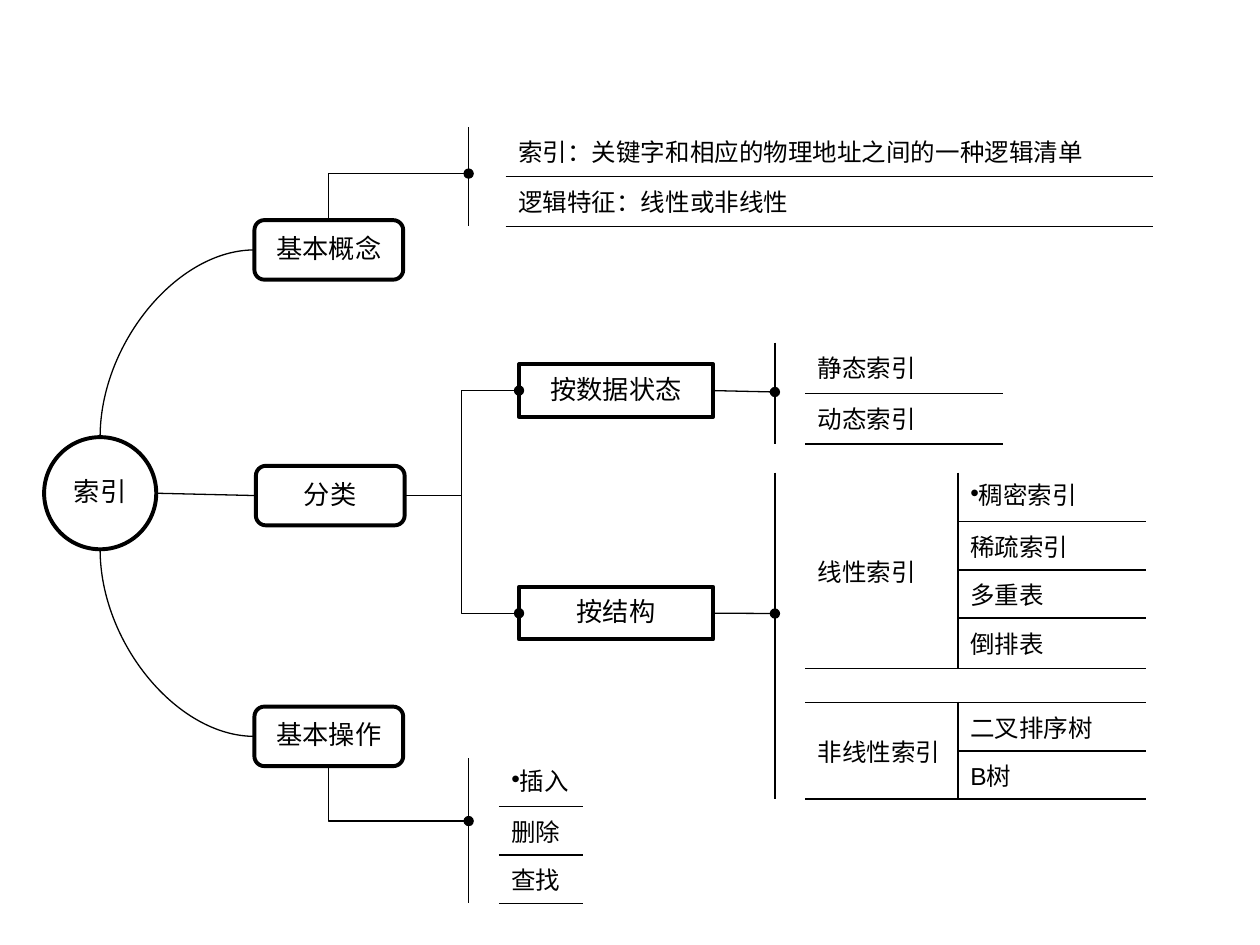
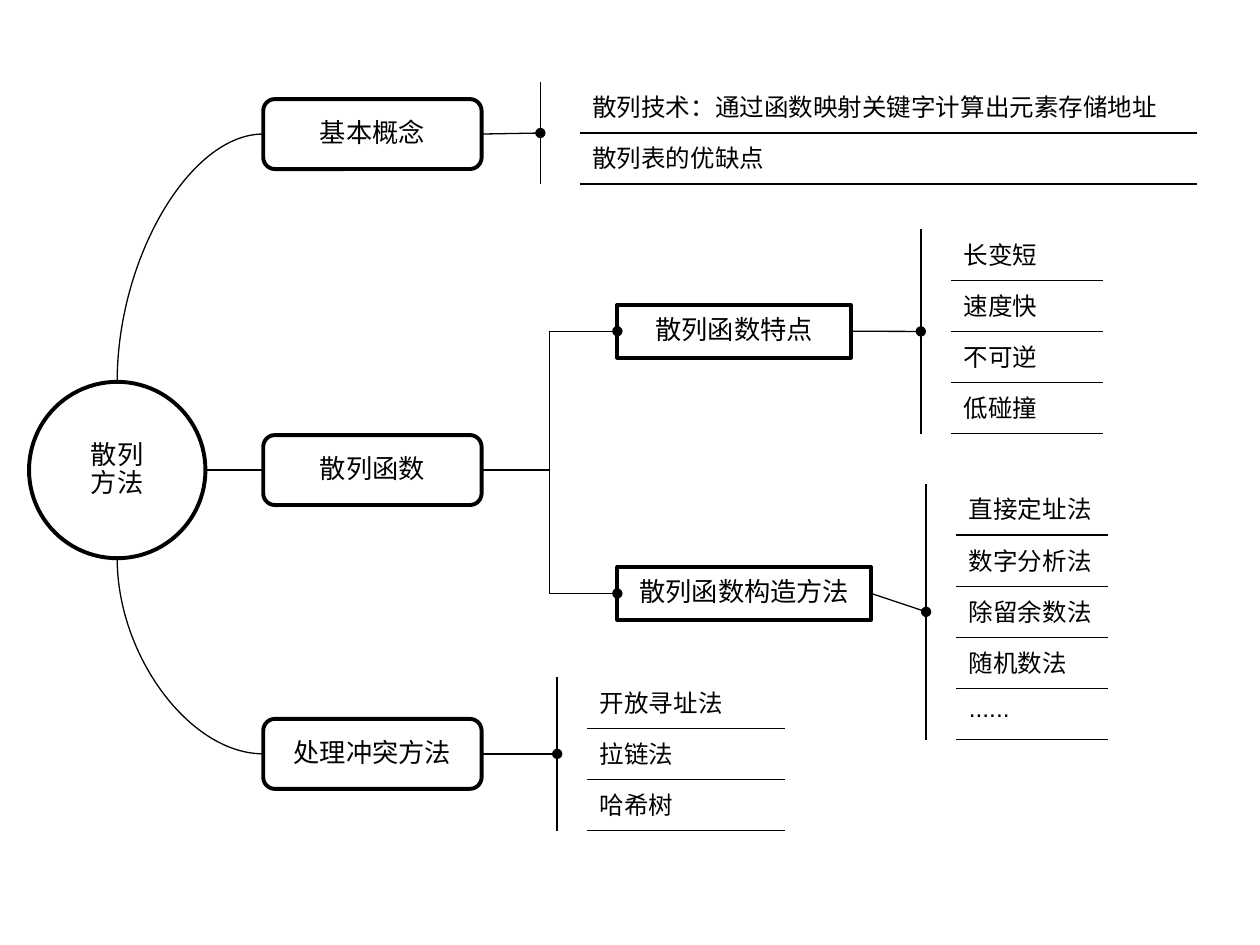
from dataclasses import dataclass
from enum import IntEnum
from typing import NamedTuple

from lxml.etree import SubElement
from pptx import Presentation
from pptx.dml.color import RGBColor
from pptx.enum.shapes import MSO_CONNECTOR, MSO_SHAPE
from pptx.enum.text import MSO_ANCHOR, PP_ALIGN
from pptx.oxml.ns import qn
from pptx.util import Pt


@dataclass(frozen=True)
class Theme:
    ink: str = "000000"
    paper: str = "FFFFFF"
    node_size: float = 15
    item_size: float = 14
    spacer_size: float = 10
    node_line: float = 2.25
    link_line: float = 0.75
    cell_line: float = 1
    east_asian_font: str = "Noto Sans CJK SC"
    item_font: str = "Arial"
    lead_font: str = "Noto Sans Mono"
    plain_table: str = "{2D5ABB26-0587-4C30-8999-92F81FD0307C}"


THEME = Theme()
INK = RGBColor.from_string(THEME.ink)
PAPER = RGBColor.from_string(THEME.paper)


class Side(IntEnum):
    TOP = 0
    LEFT = 1
    BOTTOM = 2
    RIGHT = 3


class Point(NamedTuple):
    x: float
    y: float


@dataclass(frozen=True)
class Node:
    text: str
    left: float
    top: float
    width: float
    height: float
    form: MSO_SHAPE = MSO_SHAPE.ROUNDED_RECTANGLE

    def anchor(self, side: Side) -> Point:
        x = self.left + self.width * {Side.LEFT: 0, Side.RIGHT: 1}.get(side, 0.5)
        y = self.top + self.height * {Side.TOP: 0, Side.BOTTOM: 1}.get(side, 0.5)
        return Point(x, y)

    def site(self, side: Side) -> int:
        return side * 2 if self.form == MSO_SHAPE.OVAL else int(side)


@dataclass(frozen=True)
class ItemList:
    left: float
    top: float
    gap: float
    width: float
    items: tuple
    row_height: float = 29.2
    font: str = THEME.item_font

    def middle(self) -> Point:
        return Point(self.left, self.top + self.row_height * len(self.items) / 2)


def write_text(frame, text: str, *, size: float, font: str,
               align=PP_ALIGN.LEFT, spacing: float = 1.0, bullet: bool = False) -> None:
    for index, line in enumerate(text.split("\n")):
        paragraph = frame.add_paragraph() if index else frame.paragraphs[0]
        paragraph.alignment = align
        paragraph.line_spacing = spacing
        if bullet:
            properties = paragraph._p.get_or_add_pPr()
            properties.set("marL", "0")
            properties.set("indent", "0")
            SubElement(properties, qn("a:buFont"), typeface=THEME.item_font)
            SubElement(properties, qn("a:buChar"), char="•")
        run = paragraph.add_run()
        run.text = line
        run.font.size = Pt(size)
        run.font.color.rgb = INK
        run.font.name = font
        SubElement(run._r.get_or_add_rPr(), qn("a:ea"), typeface=THEME.east_asian_font)


class Diagram:
    def __init__(self, slide) -> None:
        self.slide = slide
        self.drawn = {}

    def add_node(self, node: Node) -> None:
        shape = self.slide.shapes.add_shape(
            node.form, Pt(node.left), Pt(node.top), Pt(node.width), Pt(node.height))
        shape.shadow.inherit = False
        shape.fill.solid()
        shape.fill.fore_color.rgb = PAPER
        shape.line.color.rgb = INK
        shape.line.width = Pt(THEME.node_line)
        frame = shape.text_frame
        frame.word_wrap = True
        frame.vertical_anchor = MSO_ANCHOR.MIDDLE
        frame.margin_left = frame.margin_right = Pt(0)
        write_text(frame, node.text, size=THEME.node_size, font=THEME.east_asian_font,
                   align=PP_ALIGN.CENTER, spacing=0.9)
        self.drawn[node] = shape

    def add_link(self, start, end, *, kind=MSO_CONNECTOR.STRAIGHT,
                 corner: str = "", dot: str = "") -> None:
        first, last = (
            place if isinstance(place, Point) else place[0].anchor(place[1])
            for place in (start, end))
        connector = self.slide.shapes.add_connector(
            kind, Pt(first.x), Pt(first.y), Pt(last.x), Pt(last.y))
        connector.line.color.rgb = INK
        connector.line.width = Pt(THEME.link_line)
        properties = connector._element.spPr
        if corner:
            properties.find(qn("a:prstGeom")).set("prst", corner)
        if dot:
            SubElement(properties.find(qn("a:ln")), qn(f"a:{dot}"), type="oval")
        SubElement(properties, qn("a:effectLst"))
        for place, attach in ((start, connector._connect_begin_to),
                              (end, connector._connect_end_to)):
            if not isinstance(place, Point):
                node, side = place
                attach(self.drawn[node], node.site(side))

    def add_curve(self, node: Node, hub: Node, side: Side) -> None:
        self.add_link((node, Side.LEFT), (hub, side),
                      kind=MSO_CONNECTOR.CURVE, corner="curvedConnector2")

    def add_corner(self, dot: Point, node: Node, side: Side) -> None:
        self.add_link(dot, (node, side), kind=MSO_CONNECTOR.ELBOW,
                      corner="bentConnector2", dot="headEnd")

    def add_fork(self, node: Node, children: tuple) -> None:
        for child in children:
            self.add_link((node, Side.RIGHT), (child, Side.LEFT),
                          kind=MSO_CONNECTOR.ELBOW, dot="tailEnd")

    def add_pointer(self, node: Node, dot: Point) -> None:
        self.add_link((node, Side.RIGHT), dot, dot="tailEnd")

    def add_grid(self, left: float, top: float, columns: tuple, rows: tuple):
        frame = self.slide.shapes.add_table(
            len(rows), len(columns), Pt(left), Pt(top), Pt(sum(columns)), Pt(sum(rows)))
        table = frame.table
        table.first_row = table.horz_banding = False
        table._tbl.tblPr.find(qn("a:tableStyleId")).text = THEME.plain_table
        for column, width in zip(table.columns, columns):
            column.width = Pt(width)
        for row, height in zip(table.rows, rows):
            row.height = Pt(height)
        return table

    def add_list(self, outline: ItemList) -> None:
        table = self.add_grid(outline.left, outline.top, (outline.gap, outline.width),
                              (outline.row_height,) * len(outline.items))
        for row, item in enumerate(outline.items):
            format_cell(table.cell(row, 0), edges="L")
            format_cell(table.cell(row, 1), item, edges="TB" if row else "B",
                        font=outline.font)


def format_cell(cell, text: str = "", *, edges: str = "",
                font: str = THEME.item_font) -> None:
    properties = cell._tc.get_or_add_tcPr()
    for edge in edges:
        line = SubElement(properties, qn(f"a:ln{edge}"), w=str(Pt(THEME.cell_line)))
        fill = SubElement(line, qn("a:solidFill"))
        SubElement(fill, qn("a:srgbClr"), val=THEME.ink)
    cell.fill.background()
    if text:
        bullet = text.startswith("•")
        write_text(cell.text_frame, text.lstrip("•"), size=THEME.item_size,
                   font=THEME.lead_font if bullet else font,
                   spacing=0.9 if bullet else 1.0, bullet=bullet)
    else:
        SubElement(cell.text_frame.paragraphs[0]._p, qn("a:endParaRPr"),
                   sz=str(int(THEME.spacer_size * 100)))


def add_structure_table(diagram: Diagram, left: float, top: float) -> None:
    groups = {0: ("线性索引", ("•稠密索引", "稀疏索引", "多重表", "倒排表")),
              5: ("非线性索引", ("二叉排序树", "B树"))}
    spacer = 4
    table = diagram.add_grid(left, top, (17, 87.3, 107.3),
                             (28, 27.6, 27.6, 28.8, 19.2, 27.6, 27.6))
    format_cell(table.cell(spacer, 0), edges="L")
    for column in (1, 2):
        format_cell(table.cell(spacer, column), edges="TB")
    for first, (name, kinds) in groups.items():
        last = first + len(kinds) - 1
        for column in (0, 1):
            table.cell(first, column).merge(table.cell(last, column))
        for row, kind in enumerate(kinds, first):
            format_cell(table.cell(row, 0), edges="L")
            format_cell(table.cell(row, 1), name if row == first else "",
                        edges="RTB" if row == first and first else "RB" if row in (first, last) else "R",
                        font=THEME.lead_font)
            format_cell(table.cell(row, 2), kind, edges="LTB" if row else "LB")
        table.cell(first, 1).vertical_anchor = MSO_ANCHOR.MIDDLE


def build_index_slide(slide) -> None:
    diagram = Diagram(slide)
    hub = Node("索引", 25.2, 249.8, 64.1, 64.1, MSO_SHAPE.OVAL)
    kinds = Node("分类", 146.2, 266.2, 85, 34)
    concept = Node("基本概念", 145.4, 125.8, 85, 34)
    operation = Node("基本操作", 145.4, 403.8, 85, 34)
    by_state = Node("按数据状态", 296.6, 208.2, 111, 30, MSO_SHAPE.RECTANGLE)
    by_structure = Node("按结构", 296.6, 335.4, 111, 30, MSO_SHAPE.RECTANGLE)
    for node in (hub, kinds, concept, operation, by_state, by_structure):
        diagram.add_node(node)

    diagram.add_list(ItemList(267.8, 72.6, 21.2, 370, (
        "索引：关键字和相应的物理地址之间的一种逻辑清单", "逻辑特征：线性或非线性"), 28.4))
    diagram.add_list(ItemList(442.8, 195.8, 17, 113, ("静态索引", "动态索引"), 29,
                              THEME.lead_font))
    diagram.add_list(ItemList(267.8, 433.4, 17, 48, ("•插入", "删除", "查找"), 27.6))
    add_structure_table(diagram, 442.8, 270)

    diagram.add_link((hub, Side.RIGHT), (kinds, Side.LEFT))
    diagram.add_curve(concept, hub, Side.TOP)
    diagram.add_curve(operation, hub, Side.BOTTOM)
    diagram.add_corner(Point(267.8, 99.2), concept, Side.TOP)
    diagram.add_corner(Point(267.8, 469.2), operation, Side.BOTTOM)
    diagram.add_fork(kinds, (by_state, by_structure))
    diagram.add_pointer(by_state, Point(442.8, 224))
    diagram.add_pointer(by_structure, Point(442.8, 350.6))


def build_hash_slide(slide) -> None:
    diagram = Diagram(slide)
    hub = Node("散列\n方法", 16.6, 218.2, 100.8, 100.8, MSO_SHAPE.OVAL)
    concept, function, collision = (
        Node(text, 150.4, top, 124.8, 40) for text, top in (
            ("基本概念", 56.6), ("散列函数", 248.6), ("处理冲突方法", 410.8)))
    features = Node("散列函数特点", 352.8, 174.2, 133.4, 30.2, MSO_SHAPE.RECTANGLE)
    methods = Node("散列函数构造方法", 352.8, 324, 145, 30.2, MSO_SHAPE.RECTANGLE)
    for node in (hub, concept, function, collision, features, methods):
        diagram.add_node(node)

    outlines = {
        concept: ItemList(308.8, 46.8, 22.5, 353, (
            "散列技术：通过函数映射关键字计算出元素存储地址", "散列表的优缺点")),
        features: ItemList(526.2, 131, 17, 86.6, ("长变短", "速度快", "不可逆", "低碰撞")),
        methods: ItemList(529.2, 276.6, 17, 86.6, (
            "直接定址法", "数字分析法", "除留余数法", "随机数法", "......")),
        collision: ItemList(318.4, 387, 17, 113, ("开放寻址法", "拉链法", "哈希树")),
    }
    for node, outline in outlines.items():
        diagram.add_list(outline)
        diagram.add_pointer(node, outline.middle())

    diagram.add_link((hub, Side.RIGHT), (function, Side.LEFT))
    diagram.add_curve(concept, hub, Side.TOP)
    diagram.add_curve(collision, hub, Side.BOTTOM)
    diagram.add_fork(function, (features, methods))


def main() -> None:
    presentation = Presentation()
    presentation.slide_width = Pt(720)
    presentation.slide_height = Pt(540)
    for build in (build_index_slide, build_hash_slide):
        build(presentation.slides.add_slide(presentation.slide_layouts[6]))
    presentation.save("out.pptx")


if __name__ == "__main__":
    main()
